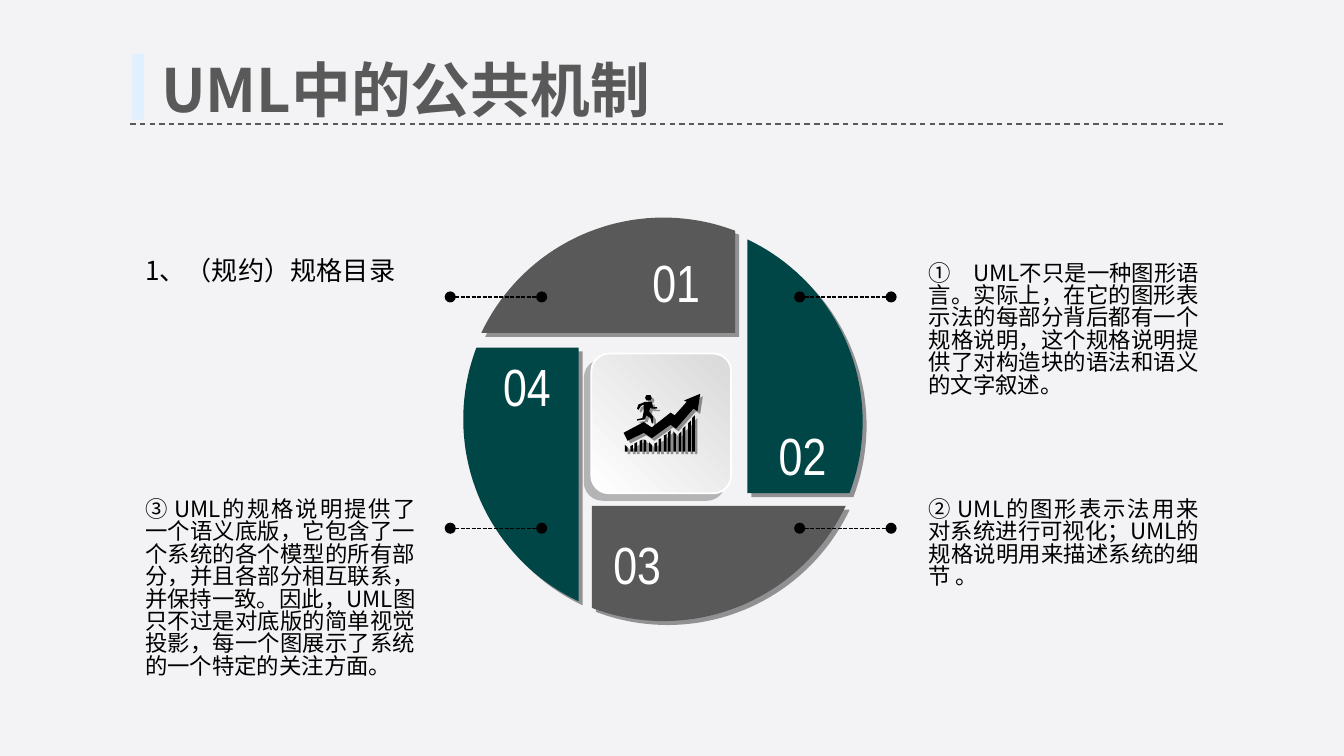
"""Build the slide on the common mechanisms of UML."""
import math
from dataclasses import dataclass

import lxml.etree
import pptx
import pptx.dml.color
import pptx.enum.dml
import pptx.enum.shapes
import pptx.enum.text
import pptx.oxml.ns
import pptx.util

Pt = pptx.util.Pt
RGB = pptx.dml.color.RGBColor.from_string
qn = pptx.oxml.ns.qn
SHAPE = pptx.enum.shapes.MSO_SHAPE
ALIGN = pptx.enum.text.PP_ALIGN
DASH = pptx.enum.dml.MSO_LINE


@dataclass(frozen=True)
class Theme:
    background: str = "F3F3F5"
    accent: str = "E1F0FF"
    gray: str = "595959"
    teal: str = "004646"
    white: str = "FFFFFF"
    silver: str = "D9D9D9"
    black: str = "000000"
    cjk: str = "Noto Sans CJK SC"
    narrow: str = "Arial Narrow"
    title: int = 32
    number: int = 28
    heading: int = 14
    body: int = 12


theme = Theme()


def cast_shadow(effects, opacity, distance, angle):
    """Add an outer shadow to an effect list."""
    shadow = lxml.etree.SubElement(
        effects, qn("a:outerShdw"), blurRad="0", dist=str(Pt(distance)),
        dir=str(angle * 60000), algn="ctr", rotWithShape="0")
    color = lxml.etree.SubElement(shadow, qn("a:srgbClr"), val=theme.black)
    lxml.etree.SubElement(color, qn("a:alpha"), val=str(opacity * 1000))


def write(words, box, size, face, color, align):
    """Add a one-paragraph text box and return its paragraph."""
    frame = slide.shapes.add_textbox(*map(Pt, box)).text_frame
    frame.word_wrap = True
    frame.auto_size = pptx.enum.text.MSO_AUTO_SIZE.SHAPE_TO_FIT_TEXT
    paragraph = frame.paragraphs[0]
    paragraph.add_run().text = words
    paragraph.alignment = align
    font = paragraph.font
    font.size = Pt(size)
    font.color.rgb = RGB(color)
    font.name = face
    lxml.etree.SubElement(font._element, qn("a:ea"), typeface=face)
    return paragraph


deck = pptx.Presentation()
deck.slide_width, deck.slide_height = Pt(720), Pt(405)
slide = deck.slides.add_slide(deck.slide_layouts[6])
slide.background.fill.solid()
slide.background.fill.fore_color.rgb = RGB(theme.background)

title_bar = slide.shapes.add_shape(SHAPE.RECTANGLE, Pt(70.6), Pt(28.8), Pt(6.5), Pt(35.3))
title_bar.shadow.inherit = False
title_bar.fill.solid()
title_bar.fill.fore_color.rgb = RGB(theme.accent)
title_bar.line.fill.background()
title = write("UML中的公共机制", (79.2, 24.5, 307.4, 46), theme.title, theme.cjk,
              theme.gray, ALIGN.LEFT)
title.font.bold = True
shadowed = [title]

hub = slide.shapes.add_shape(SHAPE.ROUNDED_RECTANGLE, Pt(316.8), Pt(189.4), Pt(74.9), Pt(74.9))
hub.adjustments[0] = 0.127
hub.fill.gradient()
hub.fill.gradient_angle = 45
for stop, position, color in zip(hub.fill.gradient_stops, (0, 1), (theme.white, theme.silver)):
    stop.position = position
    stop.color.rgb = RGB(color)
hub.line.color.rgb = RGB(theme.white)
hub.line.width = Pt(1)
hub.shadow.inherit = False
cast_shadow(hub._element.spPr.find(qn("a:effectLst")), 26, 5, 135)

bar_tops = [(38, 40), (39, 38), (37, 36), (35, 34), (34, 35), (36, 38), (37, 36), (34, 33),
            (31, 30), (29, 27), (28, 30), (30, 28), (26, 24), (22, 20), (18, 16)]
arrow = [(0, 29), (3, 35), (15, 29), (21, 33), (35, 23), (39, 26), (52, 11), (55, 13),
         (57, 0), (45, 5), (47, 6), (38, 16), (35, 14), (21, 25), (15, 21)]
runner = [(10, 11), (11, 8), (16, 6), (21, 6), (22, 10), (25, 10), (25, 11), (21, 11),
          (20, 10), (19, 13), (22, 17), (22, 22), (21, 22), (20, 18), (17, 16), (16, 19),
          (10, 20), (10, 19), (14, 18), (15, 13), (15, 8), (13, 9), (11, 12)]
head = [(round(18.5 + 2.4 * math.cos(k * math.pi / 4)), round(3 + 2.4 * math.sin(k * math.pi / 4)))
        for k in range(8)]
contours = [arrow, runner, head]
for index, (left_top, right_top) in enumerate(bar_tops):
    left = round(1 + 3.6 * index)
    contours.append([(left, left_top), (left + 2, right_top), (left + 2, 43), (left, 43)])
growth = slide.shapes.build_freeform(*arrow[0], scale=Pt(0.72))
for contour in contours:
    growth.move_to(*contour[0])
    growth.add_line_segments(contour[1:], close=True)
growth_icon = growth.convert_to_shape(Pt(334.1), Pt(211))
growth_icon.fill.solid()
growth_icon.fill.fore_color.rgb = RGB(theme.black)
growth_icon.line.fill.background()
growth_icon.shadow.inherit = False
cast_shadow(growth_icon._element.spPr.find(qn("a:effectLst")), 40, 2, 45)

radius, corner_x, corner_y, steps = 108, 38.4, -46.2, 40
arc_start = math.pi + math.asin(-corner_y / radius)
arc_end = 2 * math.pi - math.acos(corner_x / radius)
arc_angles = [arc_start + (arc_end - arc_start) * k / steps for k in range(steps + 1)]
wedge = [(corner_x, corner_y)] + [
    (radius * math.cos(angle), radius * math.sin(angle)) for angle in arc_angles]
sectors = [
    ("01", theme.gray, (355.5, 224.6), (337.7, 130.3)),
    ("02", theme.teal, (354.2, 225.9), (405.4, 223.2)),
    ("03", theme.gray, (355.5, 224.8), (316.8, 281.5)),
    ("04", theme.teal, (356.2, 224.6), (257.8, 186.5)),
]
for number, color, center, number_at in sectors:
    outline = [(round(x * 100), round(y * 100)) for x, y in wedge]
    builder = slide.shapes.build_freeform(*outline[0], scale=Pt(1) / 100)
    builder.add_line_segments(outline[1:], close=True)
    sector = builder.convert_to_shape(*map(Pt, center))
    sector.fill.solid()
    sector.fill.fore_color.rgb = RGB(color)
    sector.line.fill.background()
    sector.shadow.inherit = False
    cast_shadow(sector._element.spPr.find(qn("a:effectLst")), 40, 3, 45)
    shadowed.append(write(number, (*number_at, 49, 41), theme.number, theme.narrow,
                          theme.white, ALIGN.CENTER))
    wedge = [(-y, x) for x, y in wedge]

for paragraph in shadowed:
    run_properties = paragraph.runs[0]._r.get_or_add_rPr()
    cast_shadow(lxml.etree.SubElement(run_properties, qn("a:effectLst")), 40, 1.5, 45)

leaders = [(x, y, x + 49, theme.black, DASH.SQUARE_DOT, True)
           for y in (159.1, 283) for x in (241.2, 428.4)]
rule = (69.8, 66.4, 655.2, theme.gray, DASH.DASH, False)
for left, y, right, color, dash, dotted in [rule, *leaders]:
    leader = slide.shapes.add_connector(
        pptx.enum.shapes.MSO_CONNECTOR.STRAIGHT, Pt(left), Pt(y), Pt(right), Pt(y))
    leader.line.color.rgb = RGB(color)
    leader.line.width = Pt(0.75)
    leader.line.dash_style = dash
    properties = leader._element.spPr
    if dotted:
        for end in ("a:headEnd", "a:tailEnd"):
            lxml.etree.SubElement(properties.find(qn("a:ln")), qn(end), type="oval")
    lxml.etree.SubElement(properties, qn("a:effectLst"))

left_column, right_column, upper_row, lower_row = 70.6, 490.3, 137.5, 264.2
notes = [
    ("1、（规约）规格目录", left_column, upper_row, 19.4, theme.heading),
    ("①\u3000UML不只是一种图形语言。实际上，在它的图形表示法的每部分背后都有一个规格说明，"
     "这个规格说明提供了对构造块的语法和语义的文字叙述。".replace("\u3000", "　"),
     right_column, upper_row, 79.2, theme.body),
    ("② UML的图形表示法用来对系统进行可视化；UML的规格说明用来描述系统的细节 。",
     right_column, lower_row, 55.4, theme.body),
    ("③ UML的规格说明提供了一个语义底版，它包含了一个系统的各个模型的所有部分，"
     "并且各部分相互联系，并保持一致。因此，UML图只不过是对底版的简单视觉投影，"
     "每一个图展示了系统的一个特定的关注方面。",
     left_column, lower_row, 103.7, theme.body),
]
for words, left, top, height, size in notes:
    note = write(words, (left, top, 159.1, height), size, theme.cjk, theme.black, ALIGN.JUSTIFY)
    note.line_spacing = Pt(12)

deck.save("out.pptx")
